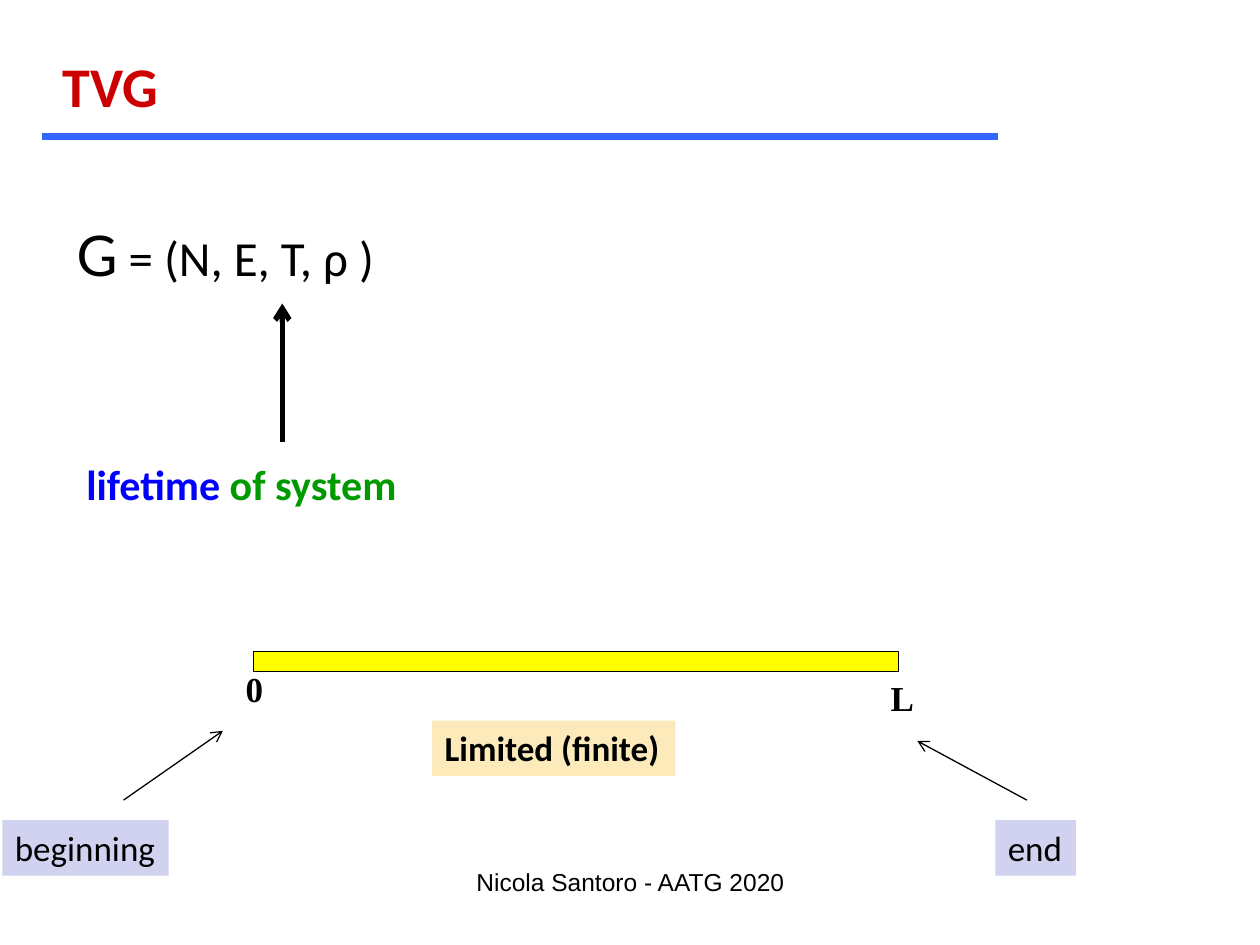
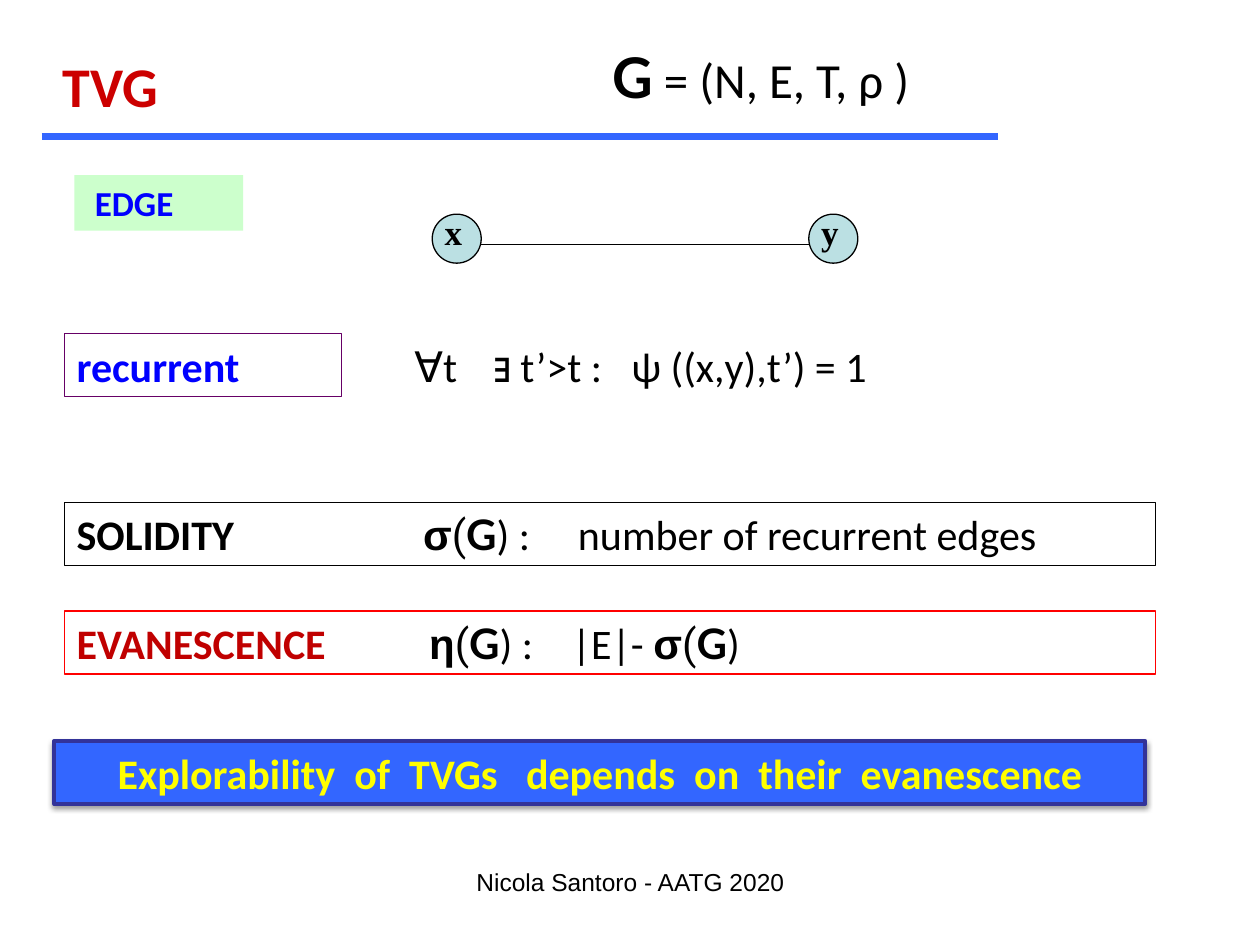
from lxml import etree
from pptx import Presentation
from pptx.dml.color import RGBColor
from pptx.enum import shapes, text
from pptx.oxml import ns
from pptx.util import Pt

COLORS = {
    "black": "000000", "title": "CC0000", "rule": "3366FF", "blue": "0000FF",
    "green": "009900", "yellow": "FFFF00", "cream": "FCEABB", "lilac": "D1D1F0",
    "mint": "CCFFCC", "node": "BBE0E3", "purple": "660066", "red": "FF0000",
    "darkred": "C00000", "navy": "333399",
}
BODY, SERIF, SANS, MATH, PAREN = "Calibri", "Times New Roman", "Arial", "Lato", "Roboto"
RECT = shapes.MSO_SHAPE.RECTANGLE
OVAL = shapes.MSO_SHAPE.OVAL
LABEL_H, ROW_H, TITLE_H = 31.7, 36, 46
ROW_X, ROW_W = 36.7, 623.5


def rgb(name):
    return RGBColor.from_string(COLORS[name])


def run(content, size=24, font=BODY, color="black", bold=False, gap=0):
    return content, size, font, color, bold, gap


def add(parent, tag, **attrs):
    child = etree.SubElement(parent, ns.qn(tag))
    for key, value in attrs.items():
        child.set(key, str(value))
    return child


class Deck:
    def __init__(self):
        self.prs = Presentation()
        self.prs.slide_width, self.prs.slide_height = Pt(720), Pt(540)
        self.s = None

    def slide(self):
        self.s = self.prs.slides.add_slide(self.prs.slide_layouts[6])
        self.line(23.8, 77.8, 570.2, 77.8, "rule", 4)
        self.text(28.8, 26, 70.6, TITLE_H, [run("TVG", 32, color="title", bold=True)], wrap=False)
        self.text(246.2, 491.8, 228.2, ROW_H, [run("Nicola Santoro - AATG 2020", 14, SANS)],
                  center=True)

    def line(self, x1, y1, x2, y2, color="black", width=0.75, arrow=False):
        c = self.s.shapes.add_connector(
            shapes.MSO_CONNECTOR.STRAIGHT, Pt(x1), Pt(y1), Pt(x2), Pt(y2))
        c.line.color.rgb = rgb(color)
        c.line.width = Pt(width)
        if arrow:
            add(c._element.spPr.find(ns.qn("a:ln")), "a:tailEnd", type="arrow")
        add(c._element.spPr, "a:effectLst")

    def shape(self, kind, x, y, w, h, fill=None, outline=None, width=0.75):
        sp = self.s.shapes.add_shape(kind, Pt(x), Pt(y), Pt(w), Pt(h))
        sp.shadow.inherit = False
        if fill:
            sp.fill.solid()
            sp.fill.fore_color.rgb = rgb(fill)
        else:
            sp.fill.background()
        if outline:
            sp.line.color.rgb = rgb(outline)
            sp.line.width = Pt(width)
        else:
            sp.line.fill.background()
        return sp

    def text(self, x, y, w, h, runs, **layout):
        sp = self.s.shapes.add_textbox(Pt(x), Pt(y), Pt(w), Pt(h))
        self.set_runs(sp, runs, **layout)

    def box(self, x, y, w, h, runs, fill=None, outline=None, width=0.75, **layout):
        sp = self.shape(RECT, x, y, w, h, fill, outline, width)
        self.set_runs(sp, runs, **layout)
        return sp

    def set_runs(self, sp, runs, wrap=True, center=False, inset=7.2, tabs=()):
        tf = sp.text_frame
        tf.word_wrap = wrap
        tf.vertical_anchor = text.MSO_ANCHOR.TOP
        tf.margin_left = Pt(inset)
        p = tf.paragraphs[0]
        p.alignment = text.PP_ALIGN.CENTER if center else text.PP_ALIGN.LEFT
        if tabs:
            stops = add(p._p.get_or_add_pPr(), "a:tabLst")
            for stop in tabs:
                add(stops, "a:tab", pos=Pt(stop), algn="l")
        for content, size, font, color, bold, gap in runs:
            r = p.add_run()
            r.text = content
            r.font.size, r.font.name, r.font.bold = Pt(size), font, bold
            r.font.color.rgb = rgb(color)
            if gap:
                r._r.get_or_add_rPr().set("spc", str(round(gap * 100)))

    def formula(self, x, y, w, bold):
        self.text(x, y, w, TITLE_H,
                  [run("G", 32, MATH, bold=bold), run(" = (N, E, T, ρ )", 28)])

    def label(self, x, y, w, content, font=SERIF):
        self.text(x, y, w, LABEL_H, [run(content, 20, font, bold=True)], wrap=False)

    def tag(self, x, y, w, content, fill, color="black", bold=False, **layout):
        self.box(x, y, w, LABEL_H, [run(content, 20, color=color, bold=bold)], fill, **layout)

    def shadow(self, sp, blur, distance, opacity):
        effects = sp._element.spPr.find(ns.qn("a:effectLst"))
        outer = add(effects, "a:outerShdw", blurRad=Pt(blur), dist=Pt(distance),
                    dir=90 * 60000, rotWithShape=0)
        add(add(outer, "a:srgbClr", val=COLORS["black"]), "a:alpha", val=opacity * 1000)


def measure(symbol):
    return [run(symbol, font=SANS, bold=True), run("(", font=PAREN),
            run("G", font=MATH, bold=True)]


def spaced(words, gaps, **style):
    runs = [run(words[0], **style)]
    for word, gap in zip(words[1:], gaps):
        runs += [run(" ", gap=gap, **style), run(word, **style)]
    return runs


def lifetime_slide(d):
    d.slide()
    d.formula(ROW_X, 122.4, 616.3, False)
    d.text(ROW_X, 258.5, 481.7, ROW_H,
           [run("lifetime", color="blue", bold=True),
            run(" of system", color="green", bold=True)], inset=12.6)
    d.line(161.3, 252.7, 161.3, 173.5, width=3, arrow=True)

    d.shape(RECT, 144.7, 372.2, 368.6, 11.5, "yellow", "black")
    d.label(133.2, 378, 22.3, "0")
    d.label(501.8, 383, 27.4, "L")
    d.tag(247, 411.8, 139, "Limited (finite)", "cream", bold=True, wrap=False)
    d.tag(1.4, 468.7, 95, "beginning", "lilac", wrap=False)
    d.tag(568.8, 468.7, 46, "end", "lilac", wrap=False)
    d.line(70.6, 457.2, 127.4, 417.6, arrow=True)
    d.line(586.8, 457.2, 524.2, 423.4, arrow=True)


def recurrence_slide(d):
    d.slide()
    d.formula(342.7, 20.9, 221, True)
    d.tag(42.5, 100.1, 96.5, "EDGE", "mint", "blue", True, inset=11.7)

    d.line(275, 139.7, 462.2, 139.7)
    for x, name, w in ((247, "x", 25.9), (462.2, "y", 24.5)):
        d.shape(OVAL, x, 122.4, 28, 28, "node", "black")
        d.label(x, 116.6, w, name)

    d.box(ROW_X, 190.8, 158.4, ROW_H, [run("recurrent", color="blue", bold=True)],
          outline="purple")
    d.text(229.7, 190.8, 447.8, ROW_H,
           [run("∀", font=PAREN), run("t\t"), run("∃", font=SANS),
            run(" t’>t :\tψ ((x,y),t’) = 1")], tabs=(45, 124))

    d.box(ROW_X, 287.3, ROW_W, ROW_H,
          [run("SOLIDITY\t", bold=True), *measure("σ"),
           run(") :\tnumber of recurrent edges")], outline="black", tabs=(198, 286.5))
    d.box(ROW_X, 349.2, ROW_W, ROW_H,
          [run("EVANESCENCE\t", color="darkred", bold=True), *measure("η"),
           run(") :\t|E|- "), *measure("σ"), run(")")],
          outline="red", tabs=(201.5, 283))

    words = "Explorability of TVGs depends on their evanescence".split()
    banner = d.box(31, 423.4, ROW_W, ROW_H,
                   spaced(words, (5.4, 5.4, 10.8, 5.4, 5.4, 5.4), color="yellow", bold=True),
                   "rule", "navy", 2.25, center=True)
    d.shadow(banner, 3.1, 1.6, 38)


def main():
    d = Deck()
    lifetime_slide(d)
    recurrence_slide(d)
    d.prs.save("out.pptx")


if __name__ == "__main__":
    main()
